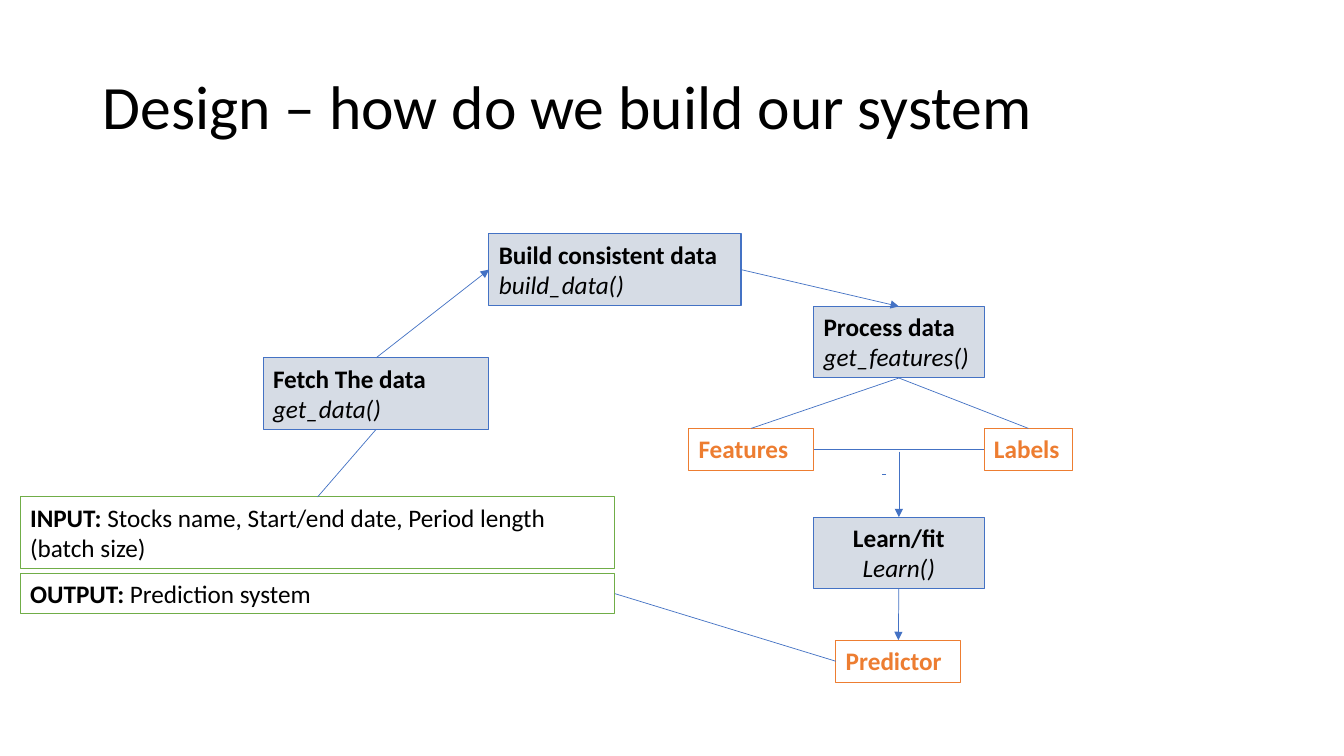
from lxml import etree
from pptx import Presentation
from pptx import util as u
from pptx.dml.color import RGBColor
from pptx.enum import shapes, text
from pptx.oxml import ns

THEME = {
    "font": "Calibri", "title size": 44, "body size": 18,
    "black": RGBColor(0x00, 0x00, 0x00), "blue": RGBColor(0x44, 0x72, 0xC4),
    "pale": RGBColor(0xD6, 0xDC, 0xE5), "green": RGBColor(0x70, 0xAD, 0x47),
    "orange": RGBColor(0xED, 0x7D, 0x31),
    "border": u.Pt(0.75), "link": u.Pt(0.5),
}
CELL = u.Inches(0.1)  # grid step for columns and rows
TOP, LEFT, BOTTOM, RIGHT = range(4)  # connection sites of a rectangle

deck = Presentation()
deck.slide_width, deck.slide_height = u.Inches(13.33), u.Inches(7.5)
slide = deck.slides.add_slide(deck.slide_layouts[6])


def grid(*steps):
    return [round(step * CELL) for step in steps]


def add_run(paragraph, words, size, color, bold=False, italic=False):
    run = paragraph.add_run()
    run.text = words
    run.font.name, run.font.size = THEME["font"], u.Pt(size)
    run.font.bold, run.font.italic = bold, italic
    run.font.color.rgb = color


# Title
title = slide.shapes.add_textbox(*grid(9.2, 3.6, 115, 14.5)).text_frame
title.word_wrap = True
title.vertical_anchor = text.MSO_ANCHOR.MIDDLE
title.paragraphs[0].line_spacing = 0.9
add_run(title.paragraphs[0], "Design – how do we build our system",
        THEME["title size"], THEME["black"])

# Boxes: column, row, width, height, fill, border, text colour, lines of (words, style)
step = ("pale", "blue", "black")
result = (None, "orange", "orange")
system = (None, "green", "black")
boxes = {
    "fetch": (26.1, 35.5, 22.4, 7.1, *step,
              [[("Fetch The data", "b")], [("get_data()", "i")]]),
    "input": (2, 49.3, 59, 7.1, *system,
              [[("INPUT: ", "b"),
                ("Stocks name, Start/end date, Period length (batch size)", "")]]),
    "build": (48.5, 23.2, 25, 7.1, *step,
              [[("Build consistent data", "b")], [("build_data()", "i")]]),
    "process": (80.7, 30.4, 16.9, 7.1, *step,
                [[("Process data", "b")], [("get_features()", "i")]]),
    "features": (68.3, 42.5, 12.4, 4.2, *result, [[("Features", "b")]]),
    "labels": (97.6, 42.5, 8.8, 4.2, *result, [[("Labels", "b")]]),
    "learn": (80.7, 51.3, 16.9, 7.1, *step,
              [[("Learn/fit", "b")], [("Learn()", "i")]]),
    "predictor": (82.9, 63.5, 12.4, 4.2, *result, [[("Predictor", "b")]]),
    "output": (2, 56.9, 59, 4, *system,
               [[("OUTPUT: ", "b"), ("Prediction system", "")]]),
}
placed = {}
for part, (column, row, width, height, fill, border, ink, lines) in boxes.items():
    box = slide.shapes.add_shape(shapes.MSO_SHAPE.RECTANGLE,
                                 *grid(column, row, width, height))
    box.shadow.inherit = False
    if fill:
        box.fill.solid()
        box.fill.fore_color.rgb = THEME[fill]
    else:
        box.fill.background()
    box.line.color.rgb, box.line.width = THEME[border], THEME["border"]
    frame = box.text_frame
    frame.word_wrap = True
    frame.auto_size = text.MSO_AUTO_SIZE.SHAPE_TO_FIT_TEXT
    frame.vertical_anchor = text.MSO_ANCHOR.TOP
    for index, line in enumerate(lines):
        paragraph = frame.add_paragraph() if index else frame.paragraphs[0]
        paragraph.alignment = (text.PP_ALIGN.CENTER if part == "learn"
                               else text.PP_ALIGN.LEFT)
        for words, style in line:
            add_run(paragraph, words, THEME["body size"], THEME[ink],
                    bold=style == "b", italic=style == "i")
    placed[part] = box

# Links: each end is a box with its side, or a point on the grid
links = [
    (("fetch", TOP), ("build", LEFT), True),
    (("build", RIGHT), ("process", TOP), True),
    ((87.9, 47.1), (87.5, 47.1), False),
    (("process", BOTTOM), ("labels", TOP), False),
    (("process", BOTTOM), ("features", TOP), False),
    (("features", RIGHT), ("labels", LEFT), False),
    ((89.15, 44.8), ("learn", TOP), True),
    (("learn", BOTTOM), ("predictor", TOP), True),
    (("input", TOP), ("fetch", BOTTOM), False),
    (("predictor", LEFT), ("output", RIGHT), False),
]
for start, end, arrow in links:
    points = []
    for place, side in (start, end):
        if place in placed:
            box = placed[place]
            across = {LEFT: 0, RIGHT: 1}.get(side, 0.5)
            down = {TOP: 0, BOTTOM: 1}.get(side, 0.5)
            points += [round(box.left + across * box.width),
                       round(box.top + down * box.height)]
        else:
            points += grid(place, side)
    link = slide.shapes.add_connector(shapes.MSO_CONNECTOR.STRAIGHT, *points)
    if start[0] in placed:
        link.begin_connect(placed[start[0]], start[1])
    if end[0] in placed:
        link.end_connect(placed[end[0]], end[1])
    link.line.color.rgb, link.line.width = THEME["blue"], THEME["link"]
    if arrow:
        etree.SubElement(link.line._get_or_add_ln(), ns.qn("a:tailEnd"), type="triangle")
    etree.SubElement(link._element.spPr, ns.qn("a:effectLst"))

deck.save("out.pptx")
